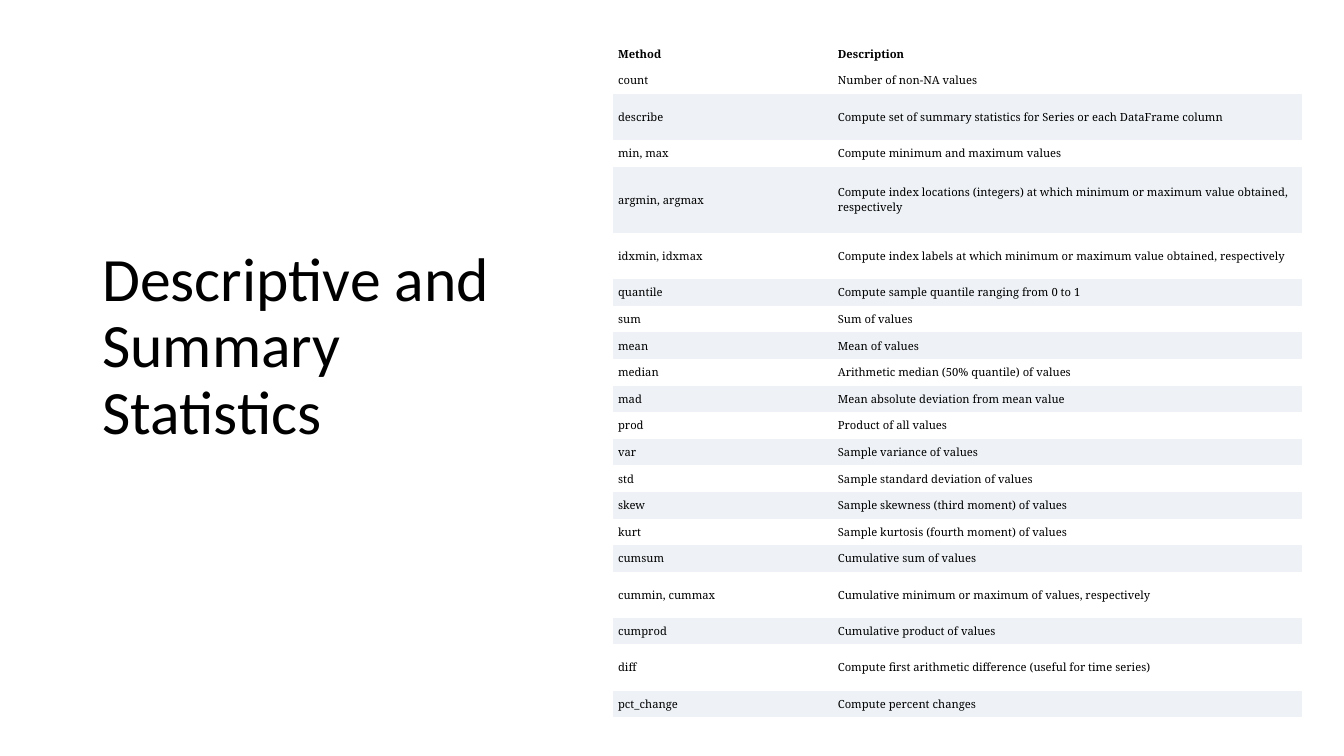
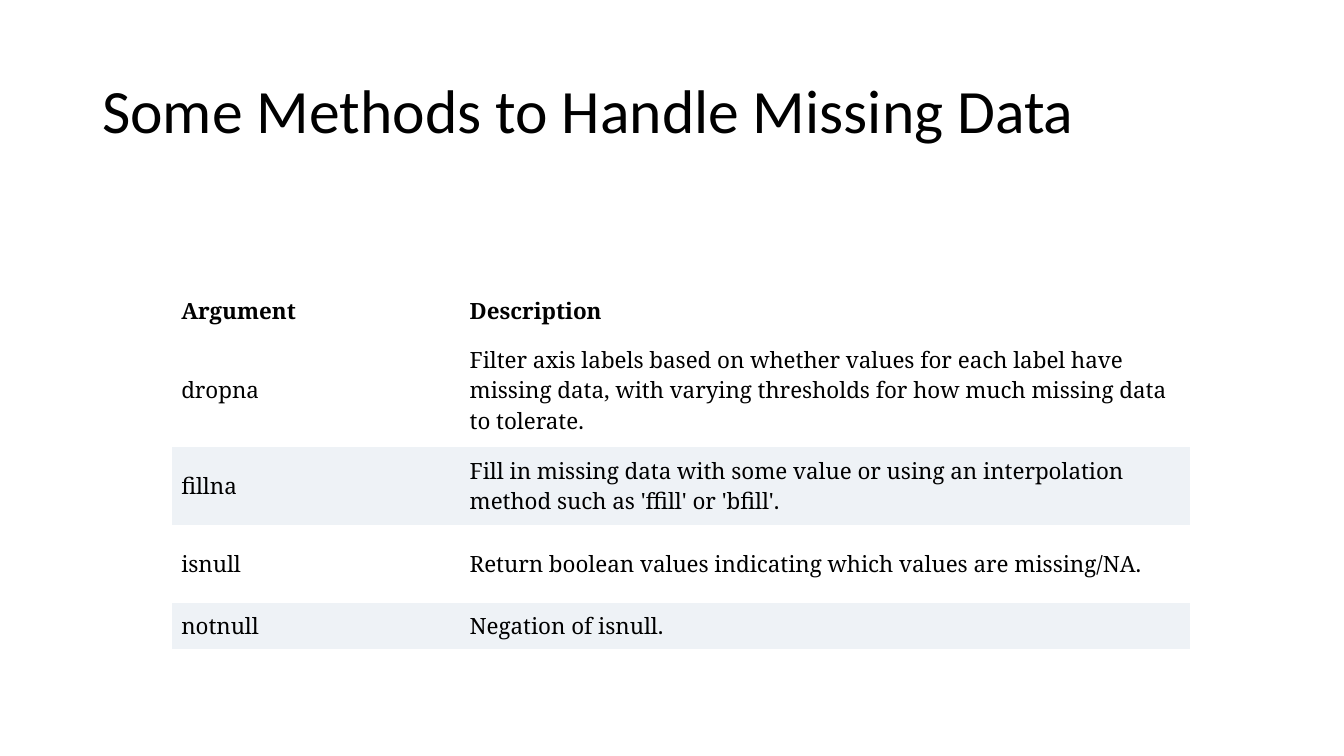
from pptx import Presentation
from pptx.dml.color import RGBColor
from pptx.enum import text
from pptx.util import Emu, Pt

PX = 6350
BLACK, WHITE, BAND = "000000", "FFFFFF", "EEF2F6"
TITLE_FONT, TABLE_FONT = "Calibri", "Noto Serif"
TITLE_LEFT, TITLE_TOP = 132, 58
NO_STYLE = "{2D5ABB26-0587-4C30-8999-92F81FD0307C}"

SHORT, MEDIUM, TALL = 38, 66, 95
STATISTICS = [
    ("Method", "Description", SHORT),
    ("count", "Number of non-NA values", SHORT),
    ("describe", "Compute set of summary statistics for Series or each DataFrame column", MEDIUM),
    ("min, max", "Compute minimum and maximum values", SHORT),
    ("argmin, argmax", "Compute index locations (integers) at which minimum or maximum "
     "value obtained, respectively", TALL),
    ("idxmin, idxmax", "Compute index labels at which minimum or maximum "
     "value obtained, respectively", MEDIUM),
    ("quantile", "Compute sample quantile ranging from 0 to 1", SHORT),
    ("sum", "Sum of values", SHORT),
    ("mean", "Mean of values", SHORT),
    ("median", "Arithmetic median (50% quantile) of values", SHORT),
    ("mad", "Mean absolute deviation from mean value", SHORT),
    ("prod", "Product of all values", SHORT),
    ("var", "Sample variance of values", SHORT),
    ("std", "Sample standard deviation of values", SHORT),
    ("skew", "Sample skewness (third moment) of values", SHORT),
    ("kurt", "Sample kurtosis (fourth moment) of values", SHORT),
    ("cumsum", "Cumulative sum of values", SHORT),
    ("cummin, cummax", "Cumulative minimum or maximum of values, respectively", MEDIUM),
    ("cumprod", "Cumulative product of values", SHORT),
    ("diff", "Compute first arithmetic difference (useful for time series)", MEDIUM),
    ("pct_change", "Compute percent changes", SHORT),
]
MISSING_DATA = [
    ("Argument", "Description", 65),
    ("dropna", "Filter axis labels based on whether values for each label have missing data, "
     "with varying thresholds for how much missing data to tolerate.", 161),
    ("fillna", "Fill in missing data with some value or using an interpolation method "
     "such as 'ffill' or 'bfill'.", 112),
    ("isnull", "Return boolean values indicating which values are missing/NA.", 112),
    ("notnull", "Negation of isnull.", 65),
]


def px(n):
    return Emu(n * PX)


def color(value):
    return RGBColor.from_string(value)


def format_runs(p, font, size, bold=False):
    for r in p.runs:
        r.font.name = font
        r.font.size = Pt(size)
        r.font.bold = bold
        r.font.color.rgb = color(BLACK)


def add_title(s, title, width, height):
    sp = s.shapes.add_textbox(px(TITLE_LEFT), px(TITLE_TOP), px(width), px(height))
    tf = sp.text_frame
    tf.word_wrap = True
    tf.vertical_anchor = text.MSO_ANCHOR.MIDDLE
    tf.text = title
    p = tf.paragraphs[0]
    p.line_spacing = 0.9
    format_runs(p, TITLE_FONT, 44)


def fill_cell(cell, content, fill, size, bold, margins):
    side, edge = margins
    cell.margin_left = cell.margin_right = px(side)
    cell.margin_top = cell.margin_bottom = px(edge)
    cell.vertical_anchor = text.MSO_ANCHOR.MIDDLE
    cell.fill.solid()
    cell.fill.fore_color.rgb = color(fill)
    cell.text = content
    format_runs(cell.text_frame.paragraphs[0], TABLE_FONT, size, bold)


def add_banded_table(s, left, top, widths, rows, size, margins):
    height = sum(row[-1] for row in rows)
    frame = s.shapes.add_table(len(rows), len(widths), px(left), px(top),
                               px(sum(widths)), px(height))
    table = frame.table
    table._tbl.tblPr[0].text = NO_STYLE
    for column, width in zip(table.columns, widths):
        column.width = px(width)
    for i, (*contents, row_height) in enumerate(rows):
        table.rows[i].height = px(row_height)
        fill = BAND if i and i % 2 == 0 else WHITE
        for j, content in enumerate(contents):
            fill_cell(table.cell(i, j), content, fill, size, i == 0, margins)


def main():
    prs = Presentation()
    prs.slide_width, prs.slide_height = px(1920), px(1080)
    blank = prs.slide_layouts[6]

    s = prs.slides.add_slide(blank)
    add_banded_table(s, 876, 58, (314, 670), STATISTICS, 8, (7, 3))
    add_title(s, "Descriptive and Summary Statistics", 697, 877)

    s = prs.slides.add_slide(blank)
    add_title(s, "Some Methods to Handle Missing Data", 1656, 209)
    add_banded_table(s, 245, 412, (412, 1043), MISSING_DATA, 16, (14, 7))

    prs.save("out.pptx")


if __name__ == "__main__":
    main()
